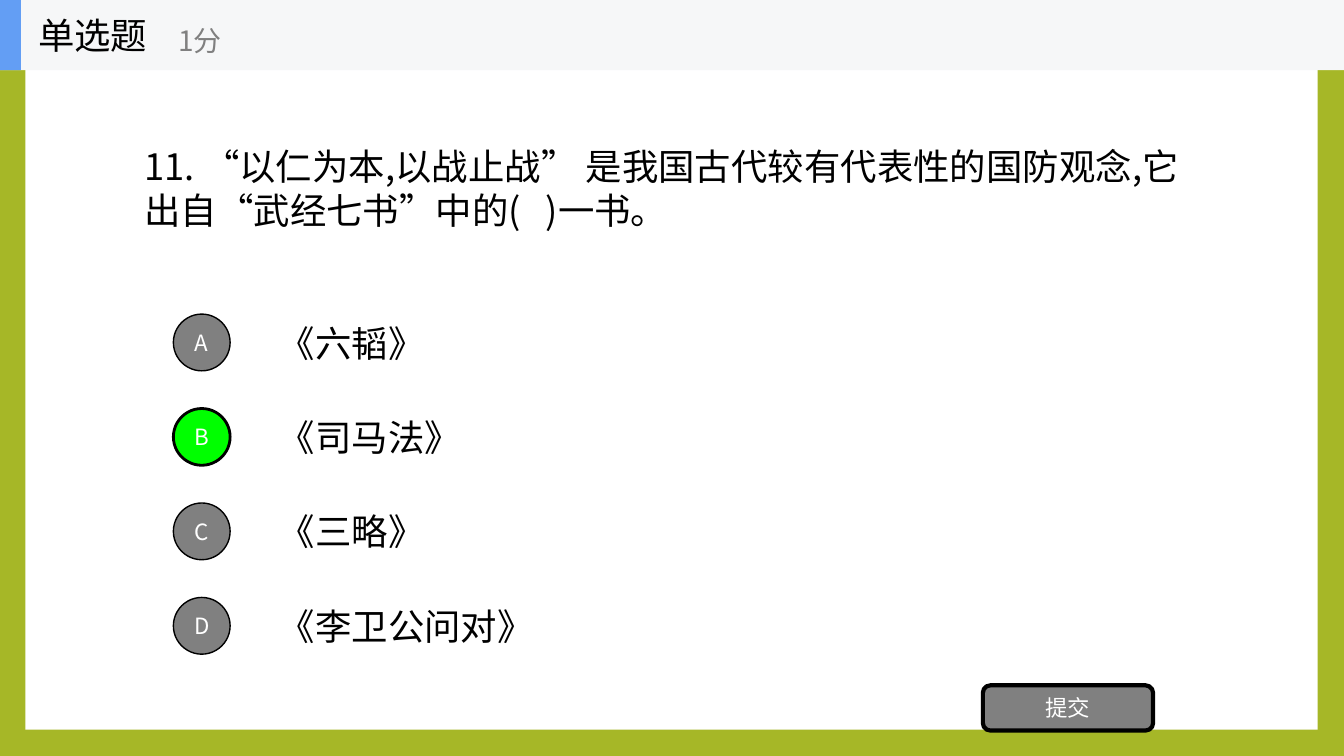
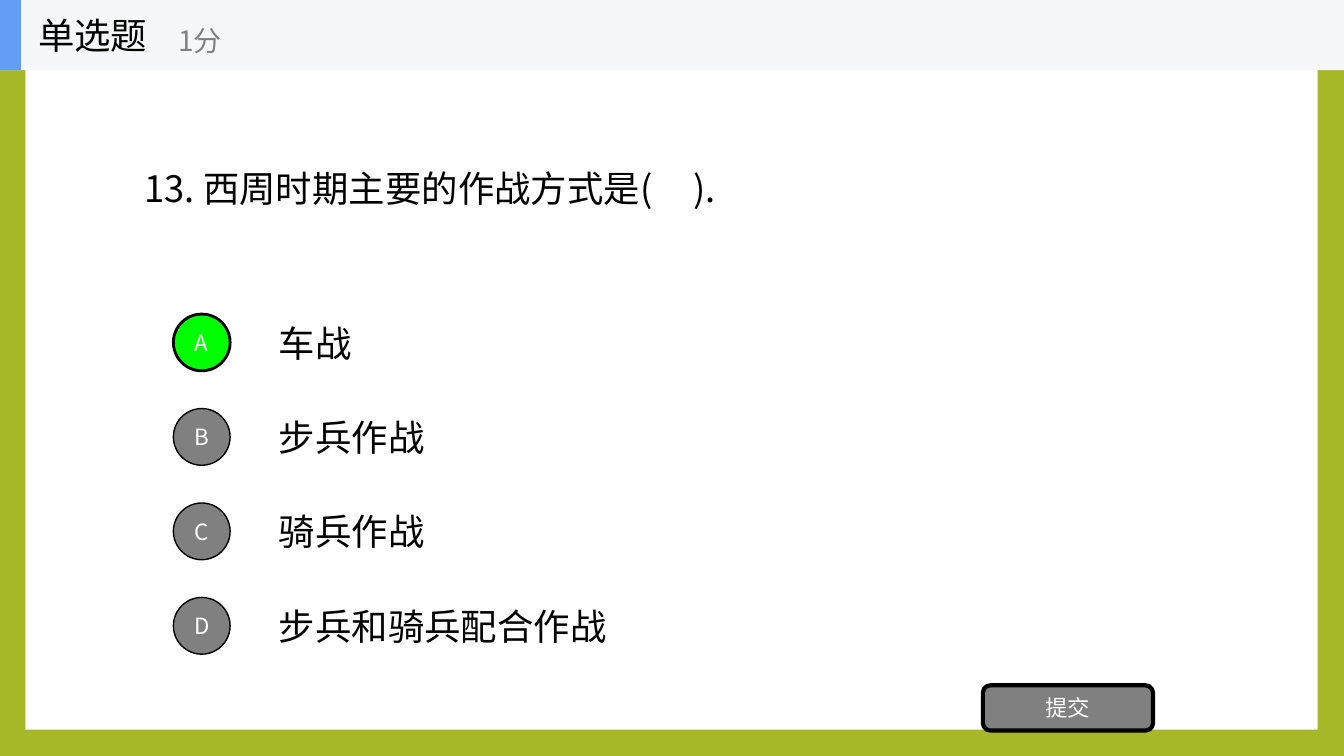
from lxml import etree
from pptx import Presentation
from pptx.dml.color import RGBColor
from pptx.enum import shapes, text
from pptx.oxml import ns
from pptx.util import Cm, Pt

FONT = "Noto Sans CJK SC"
OLIVE, WHITE, BLACK, GRAY = "A6B727", "FFFFFF", "000000", "808080"
GREEN, PALE, BLUE = "00FF00", "F6F7F8", "639EF4"
KIND = shapes.MSO_SHAPE
WIDE, HIGH = 33.87, 19.05
BAND = 1.77
EM, PAD = 0.92, 0.78
LINE, EDGE = 1.11, 0.24
DISC, STEP = 1.43, 2.38


def color(code):
    return RGBColor.from_string(code)


class Quiz:
    def __init__(self):
        self.deck = Presentation()
        self.deck.slide_width, self.deck.slide_height = Cm(WIDE), Cm(HIGH)
        self.home = None

    def page(self):
        """Start a slide with the olive frame and white sheet."""
        slide = self.deck.slides.add_slide(self.deck.slide_layouts[6])
        fill = slide.background.fill
        fill.solid()
        fill.fore_color.rgb = color(OLIVE)
        self.home = slide.shapes
        self.shape(KIND.RECTANGLE, (0.64, 0.69, 32.57, 17.7), WHITE)

    def letter(self, item, words, size, ink, align=text.PP_ALIGN.LEFT):
        """Set and format the text of a shape."""
        frame = item.text_frame
        frame.text = words
        frame.word_wrap = True
        frame.vertical_anchor = text.MSO_ANCHOR.MIDDLE
        para = frame.paragraphs[0]
        para.alignment = align
        for run in para.runs:
            run.font.size, run.font.name = Pt(size), FONT
            run.font.color.rgb = color(ink)
            props = run.font._element
            props.set("lang", "zh-CN")
            etree.SubElement(props, ns.qn("a:ea")).set("typeface", FONT)

    def label(self, box, words, size=26, ink=BLACK):
        item = self.home.add_textbox(*map(Cm, box))
        self.letter(item, words, size, ink)

    def shape(self, kind, box, fill, line=0, words=""):
        item = self.home.add_shape(kind, *map(Cm, box))
        item.shadow.inherit = False
        item.fill.solid()
        item.fill.fore_color.rgb = color(fill)
        if line:
            item.line.color.rgb = color(BLACK)
            item.line.width = Pt(line)
        else:
            item.line.fill.background()
        if words:
            self.letter(item, words, 16, WHITE, text.PP_ALIGN.CENTER)
            frame = item.text_frame
            frame.margin_left = frame.margin_right = 0

    def ask(self, words, width, lines):
        """Place the question, centred on a fixed height."""
        high = EDGE + LINE * lines
        self.label((3.39, 4.74 - high / 2, width, high), words)

    def choice(self, row, words, right):
        mid = 8.63 + row * STEP
        high = EDGE + LINE
        self.label((6.78, mid - high / 2, PAD + EM * len(words), high), words)
        self.shape(KIND.OVAL, (4.37, mid - DISC / 2, DISC, DISC),
                   GREEN if right else GRAY, 2 if right else 1, "ABCD"[row])

    def submit(self):
        self.shape(KIND.ROUNDED_RECTANGLE, (24.77, 17.27, 4.29, 1.14),
                   GRAY, 3, "提交")

    def header(self):
        self.home = self.home.add_group_shape().shapes
        self.shape(KIND.RECTANGLE, (0, 0, WIDE, BAND), PALE)
        self.shape(KIND.RECTANGLE, (0, 0, 0.53, BAND), BLUE)
        self.label((0.71, 0, 5.28, BAND), "单选题")
        self.label((4.24, 0.3, 6.35, 1.42), "1分", 20, GRAY)


def main():
    tests = [
        ("11. “以仁为本,以战止战” 是我国古代较有代表性的国防观念,"
         "它出自“武经七书”中的(   )一书。", 26.64, 2,
         ["《六韬》", "《司马法》", "《三略》", "《李卫公问对》"], "《司马法》"),
        ("13. 西周时期主要的作战方式是(     ).", 15.82, 1,
         ["车战", "步兵作战", "骑兵作战", "步兵和骑兵配合作战"], "车战"),
    ]
    quiz = Quiz()
    for words, width, lines, picks, key in tests:
        quiz.page()
        quiz.ask(words, width, lines)
        for row, pick in enumerate(picks):
            quiz.choice(row, pick, pick == key)
        quiz.submit()
        quiz.header()
    quiz.deck.save("out.pptx")


if __name__ == "__main__":
    main()
